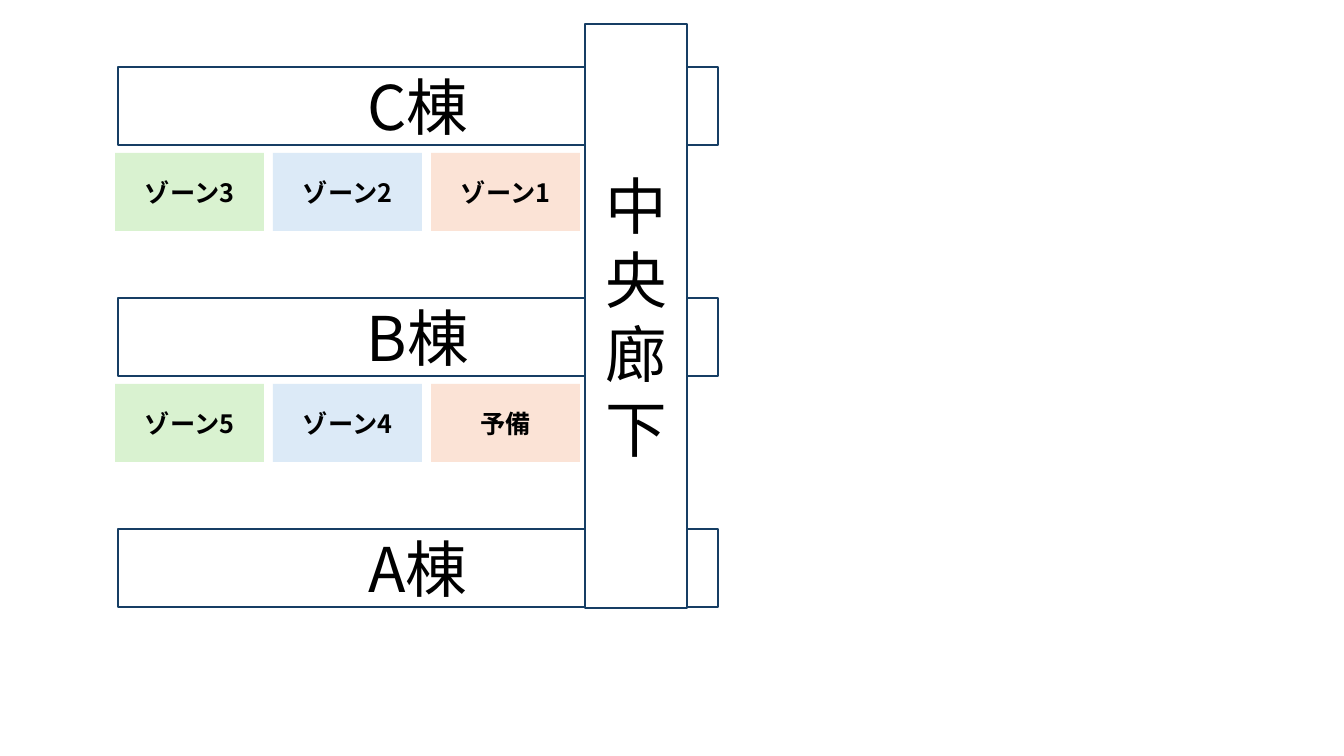
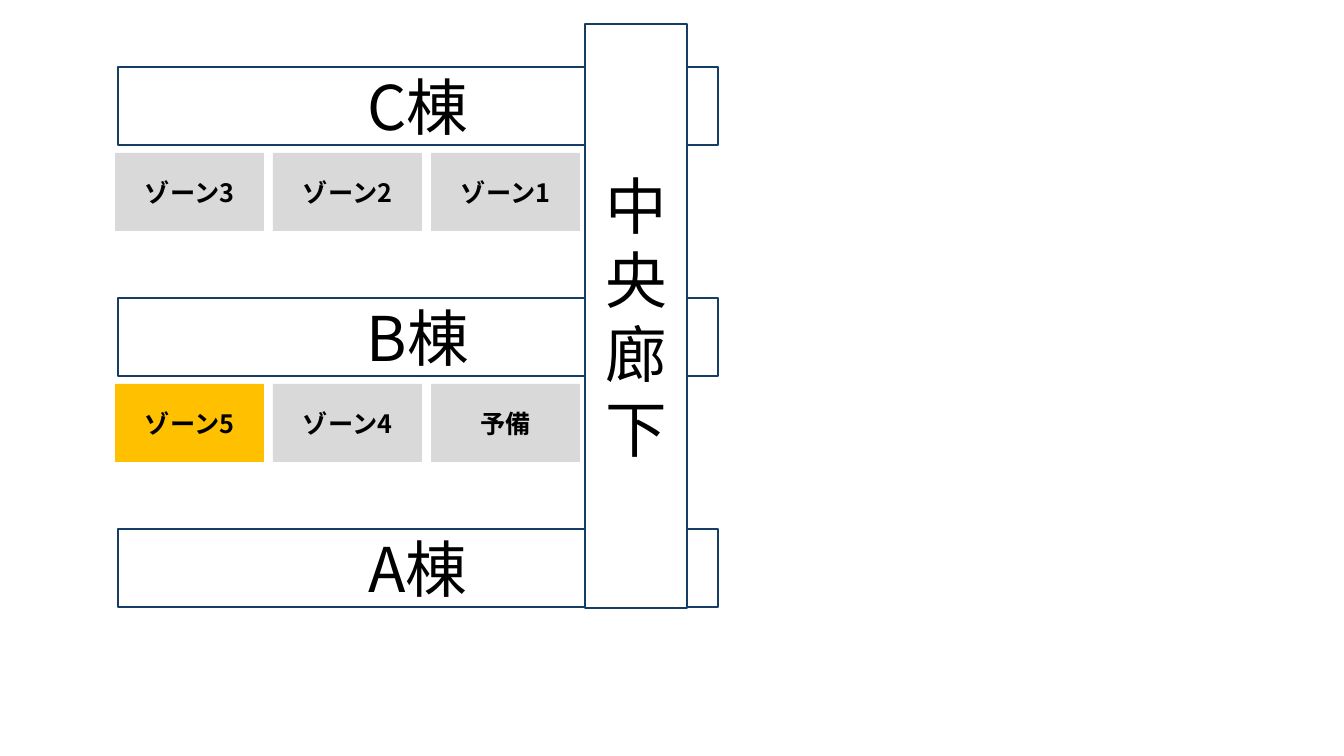
"""Build two floor-plan slides: zones by colour, then one zone highlighted."""
from lxml import etree
from pptx import Presentation
from pptx.dml.color import RGBColor
from pptx.enum.shapes import MSO_SHAPE
from pptx.enum.text import MSO_ANCHOR, PP_ALIGN
from pptx.oxml.ns import qn
from pptx.util import Emu, Pt

PX = 914400 / 100.8
FONT = "Noto Sans CJK JP"
COLORS = {
    "text": "000000",
    "outline": "163E64",
    "corridor": "FFFFFF",
    "orange": "FBE3D6",
    "blue": "DCEAF7",
    "green": "D9F2D0",
    "gray": "D9D9D9",
    "highlight": "FFC000",
}

WINGS = ["C棟", "B棟", "A棟"]
CORRIDOR = "中央廊下"
ZONES = [
    ["ゾーン3", "ゾーン2", "ゾーン1"],
    ["ゾーン5", "ゾーン4", "予備"],
]
COLUMN_COLORS = ["green", "blue", "orange"]
HIGHLIGHTS = [None, "ゾーン5"]

WING_LEFT, WING_TOP, WING_WIDTH = 118, 67, 600
WING_PITCH = 231
ROW_HEIGHT = 78
CORRIDOR_BOX = (585, 24, 102, 584)
ZONE_LEFT, ZONE_WIDTH, ZONE_GAP = 115, 149, 9
ZONE_DROP = 86


def px(length):
    return Emu(round(length * PX))


def rgb(name):
    return RGBColor.from_string(COLORS[name])


def add_box(slide, text, box, *, size=44, bold=False, fill=None, line=None, leading=None):
    block = slide.shapes.add_shape(MSO_SHAPE.RECTANGLE, *map(px, box))
    block.shadow.inherit = False
    if fill:
        block.fill.solid()
        block.fill.fore_color.rgb = rgb(fill)
    else:
        block.fill.background()
    if line:
        block.line.color.rgb = rgb(line)
        block.line.width = Pt(1.5)
    else:
        block.line.fill.background()

    frame = block.text_frame
    frame.word_wrap = True
    frame.vertical_anchor = MSO_ANCHOR.MIDDLE
    paragraph = frame.paragraphs[0]
    paragraph.alignment = PP_ALIGN.CENTER
    if leading:
        paragraph.line_spacing = Pt(leading)
    run = paragraph.add_run()
    run.text = text
    run.font.name = FONT
    run.font.size = Pt(size)
    run.font.bold = bold
    run.font.color.rgb = rgb("text")
    east_asian = etree.SubElement(run.font._element, qn("a:ea"))
    east_asian.set("typeface", FONT)


def add_building(slide):
    for row, wing in enumerate(WINGS):
        top = WING_TOP + row * WING_PITCH
        add_box(slide, wing, (WING_LEFT, top, WING_WIDTH, ROW_HEIGHT), line="outline")
    add_box(slide, CORRIDOR, CORRIDOR_BOX, fill="corridor", line="outline", leading=53)


def add_zones(slide, highlighted):
    for row, zones in enumerate(ZONES):
        top = WING_TOP + row * WING_PITCH + ZONE_DROP
        for column, zone in enumerate(zones):
            left = ZONE_LEFT + column * (ZONE_WIDTH + ZONE_GAP)
            if highlighted is None:
                fill = COLUMN_COLORS[column]
            else:
                fill = "highlight" if zone == highlighted else "gray"
            add_box(slide, zone, (left, top, ZONE_WIDTH, ROW_HEIGHT),
                    size=18, bold=True, fill=fill)


def main():
    deck = Presentation()
    deck.slide_width, deck.slide_height = px(1344), px(756)
    blank_layout = deck.slide_layouts[6]
    for highlighted in HIGHLIGHTS:
        slide = deck.slides.add_slide(blank_layout)
        add_building(slide)
        add_zones(slide, highlighted)
    deck.save("out.pptx")


if __name__ == "__main__":
    main()
